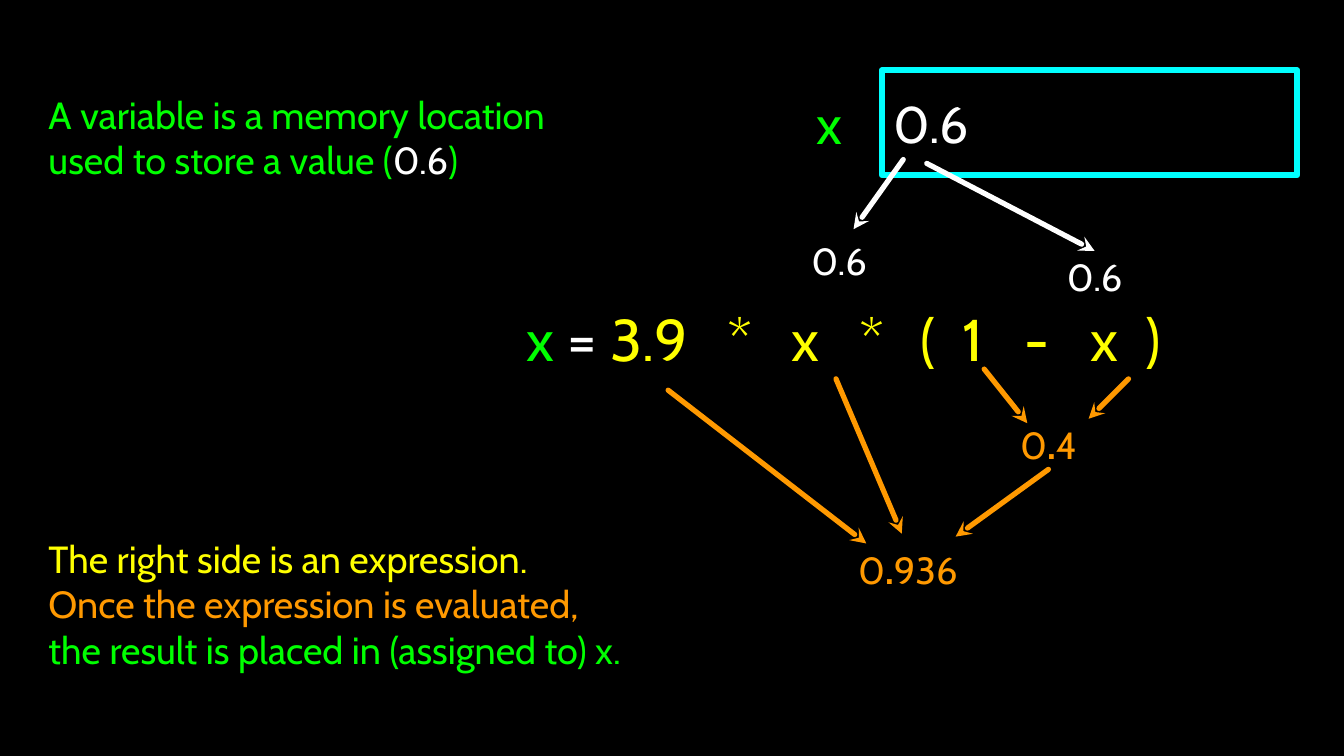
from lxml import etree
from pptx import Presentation
from pptx.dml.color import RGBColor
from pptx.enum.shapes import MSO_CONNECTOR, MSO_SHAPE
from pptx.enum.text import MSO_ANCHOR, PP_ALIGN
from pptx.oxml.ns import qn
from pptx.util import Cm, Pt

LEFT, MID = PP_ALIGN.LEFT, PP_ALIGN.CENTER
CENTER = MSO_ANCHOR.MIDDLE
RECT = MSO_SHAPE.RECTANGLE
LINE = MSO_CONNECTOR.STRAIGHT
GREEN, YELLOW, ORANGE = "00FF00", "FFFF00", "FF9900"
WHITE, CYAN, BLACK = "FFFFFF", "00FFFF", "000000"


def color(code):
    return RGBColor.from_string(code)


def write(lines, area, size=36, align=LEFT, edge=None, inset=0):
    place = [Cm(v) for v in area]
    if edge:
        shape = slide.shapes.add_shape(RECT, *place)
        shape.shadow.inherit = False
        shape.fill.background()
        shape.line.color.rgb = color(edge)
        shape.line.width = Pt(6)
    else:
        shape = slide.shapes.add_textbox(*place)
    frame = shape.text_frame
    frame.word_wrap = True
    frame.vertical_anchor = CENTER
    frame.margin_left = Cm(inset)
    frame.margin_right = frame.margin_top = frame.margin_bottom = 0
    for i, line in enumerate(lines):
        para = frame.paragraphs[0] if i == 0 else frame.add_paragraph()
        para.alignment = align
        for text, code, *bold in line:
            run = para.add_run()
            run.text = text
            run.font.name = "Cabin"
            run.font.size = Pt(size)
            run.font.bold = bool(bold)
            run.font.color.rgb = color(code)
    return frame


deck = Presentation()
deck.slide_width, deck.slide_height = Cm(45.16), Cm(25.4)
slide = deck.slides.add_slide(deck.slide_layouts[6])
slide.background.fill.solid()
slide.background.fill.fore_color.rgb = color(BLACK)

terms = "3.9\t*\tx\t*\t(\t1\t-\tx\t)"
stops = [6.78, 8.9, 11.2, 13.25, 14.65, 16.75, 18.95, 20.8]
frame = write([[("x ", GREEN), ("= ", WHITE), (terms, YELLOW)]],
              (17.68, 10.08, 24.56, 2.54), size=56)
tabs = etree.SubElement(frame.paragraphs[0]._p.get_or_add_pPr(), qn("a:tabLst"))
for stop in stops:
    etree.SubElement(tabs, qn("a:tab"), pos=str(Cm(stop)), algn="l")

write([[("0.6", WHITE)]], (29.64, 2.36, 13.94, 3.53), size=49, edge=CYAN, inset=0.38)
write([[("x", GREEN)]], (27.25, 2.92, 1.24, 2.39), size=52, align=MID)
write([[("A variable is a memory location used to store a value (", GREEN),
        ("0.6", WHITE), (")", GREEN)]], (1.63, 3.02, 18.26, 3.18))
write([[("The right side is an expression.", YELLOW)],
       [("Once the expression is evaluated,", ORANGE)],
       [("the result is placed in (assigned to) x.", GREEN)]],
      (1.63, 17.98, 19.63, 4.62))

for left, top, width in [(26.95, 7.9, 2.49), (35.31, 8.43, 2.95)]:
    write([[("0.6", WHITE)]], (left, top, width, 1.73), align=MID)
for digits, left, top, width in [("4", 33.76, 14.05, 2.95), ("936", 28.09, 18.26, 4.83)]:
    write([[("0", ORANGE), (".", ORANGE, True), (digits, ORANGE)]],
          (left, top, width, 1.73), align=MID)

arrows = [
    (WHITE, 28.68, 7.7, 30.35, 5.36),
    (WHITE, 36.78, 8.43, 31.14, 5.49),
    (ORANGE, 29.11, 18.26, 22.45, 13.11),
    (ORANGE, 30.3, 17.93, 28.09, 12.73),
    (ORANGE, 32.11, 18.03, 35.23, 15.77),
    (ORANGE, 36.58, 14.07, 37.92, 12.73),
    (ORANGE, 34.52, 14.22, 33.07, 12.4),
]
for code, *ends in arrows:
    arrow = slide.shapes.add_connector(LINE, *[Cm(v) for v in ends])
    arrow.line.color.rgb = color(code)
    arrow.line.width = Pt(5)
    stroke = arrow.line._get_or_add_ln()
    stroke.set("cap", "rnd")
    etree.SubElement(stroke, qn("a:headEnd"), type="stealth")
    etree.SubElement(arrow._element.spPr, qn("a:effectLst"))

deck.save("out.pptx")
